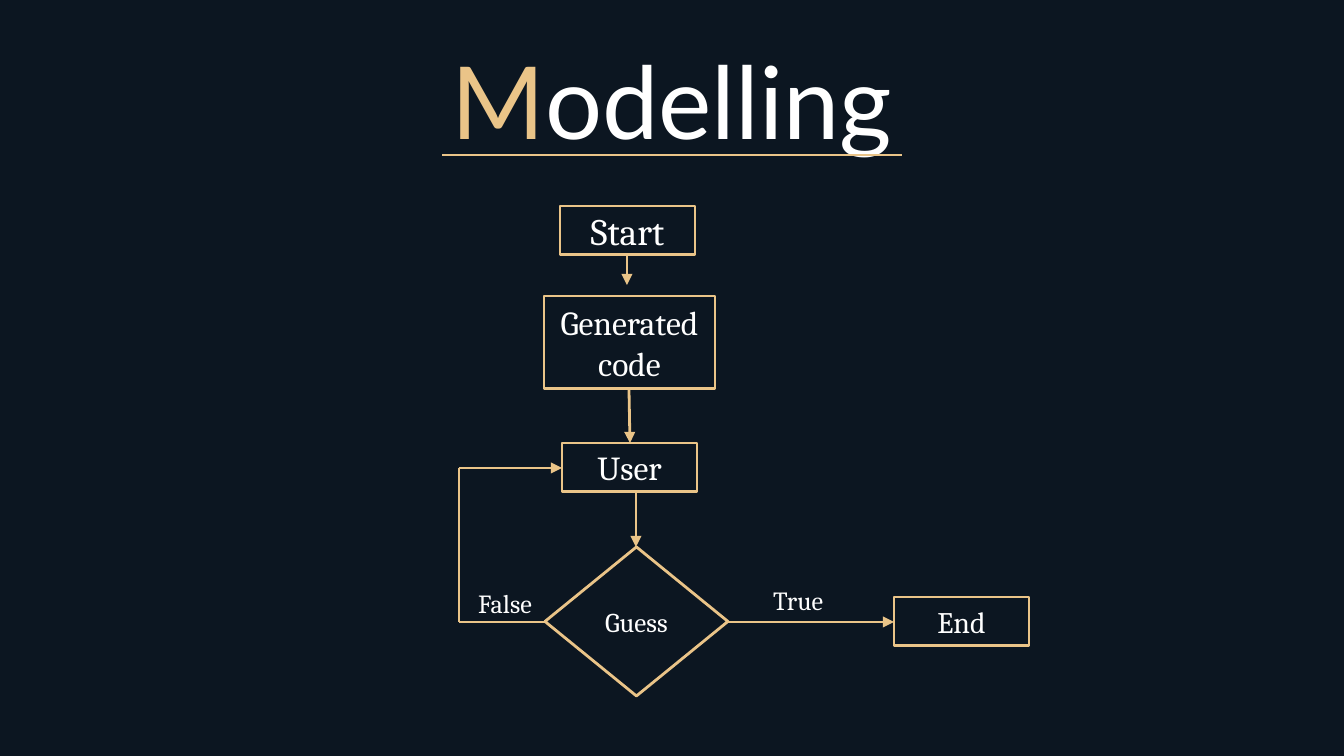
from dataclasses import dataclass

from lxml import etree
from pptx import Presentation
from pptx.dml.color import RGBColor
from pptx.enum.shapes import MSO_CONNECTOR, MSO_SHAPE
from pptx.enum.text import MSO_ANCHOR, MSO_AUTO_SIZE, PP_ALIGN
from pptx.oxml.ns import qn
from pptx.util import Emu, Pt

RECT, DIAMOND = MSO_SHAPE.RECTANGLE, MSO_SHAPE.DIAMOND
STRAIGHT = MSO_CONNECTOR.STRAIGHT
MIDDLE, CENTER = MSO_ANCHOR.MIDDLE, PP_ALIGN.CENTER
FIXED, GROW = MSO_AUTO_SIZE.NONE, MSO_AUTO_SIZE.SHAPE_TO_FIT_TEXT
TITLE_ONLY = 5
SCALE = 914400 / 134.4


@dataclass(frozen=True)
class Theme:
    background: RGBColor = RGBColor(0x0C, 0x16, 0x21)
    accent: RGBColor = RGBColor(0xEA, 0xC4, 0x88)
    text: RGBColor = RGBColor(0xFF, 0xFF, 0xFF)
    title_font: str = "Lato"
    body_font: str = "Cambria"
    title: float = 54
    large: float = 20
    medium: float = 18
    small: float = 16
    decision: float = 14.5
    label: float = 14
    stroke: float = 1.5
    thin: float = 1


def px(*lengths):
    return [Emu(round(n * SCALE)) for n in lengths]


class Deck:
    def __init__(self, prs, theme):
        self.theme = theme
        self.s = prs.slides.add_slide(prs.slide_layouts[TITLE_ONLY])
        self.s.background.fill.solid()
        self.s.background.fill.fore_color.rgb = theme.background

    def font(self, p, name, size):
        p.font.name = name
        p.font.size = Pt(size)
        p.font.color.rgb = self.theme.text

    def title(self, initial, rest, box):
        sp = self.s.shapes.title
        sp.left, sp.top, sp.width, sp.height = px(*box)
        tf = sp.text_frame
        tf.auto_size = FIXED
        tf.vertical_anchor = MIDDLE
        p = tf.paragraphs[0]
        p.alignment = CENTER
        self.font(p, self.theme.title_font, self.theme.title)
        r = p.add_run()
        r.text = initial
        r.font.color.rgb = self.theme.accent
        p.add_run().text = rest

    def node(self, text, box, size, kind=RECT):
        sp = self.s.shapes.add_shape(kind, *px(*box))
        sp.shadow.inherit = False
        sp.fill.background()
        sp.line.color.rgb = self.theme.accent
        sp.line.width = Pt(self.theme.stroke)
        tf = sp.text_frame
        tf.word_wrap = True
        tf.vertical_anchor = MIDDLE
        p = tf.paragraphs[0]
        p.text = text
        p.alignment = CENTER
        self.font(p, self.theme.body_font, size)

    def label(self, text, box):
        tf = self.s.shapes.add_textbox(*px(*box)).text_frame
        tf.word_wrap = False
        tf.auto_size = GROW
        p = tf.paragraphs[0]
        p.text = text
        self.font(p, self.theme.body_font, self.theme.label)

    def line(self, start, end, arrow=False, width=None):
        cn = self.s.shapes.add_connector(STRAIGHT, *px(*start, *end))
        cn.line.color.rgb = self.theme.accent
        cn.line.width = Pt(width or self.theme.stroke)
        if arrow:
            ln = cn.line._get_or_add_ln()
            etree.SubElement(ln, qn("a:tailEnd"), type="triangle")
        etree.SubElement(cn._element.spPr, qn("a:effectLst"))


prs = Presentation()
prs.slide_width, prs.slide_height = px(1344, 756)
theme = Theme()
deck = Deck(prs, theme)

deck.title("M", "odelling", (105, 64, 1134, 70))
deck.line((902, 155), (442, 155))

STEP = (135, 49)
for text, box, size, kind in (
    ("Start", (560, 206, *STEP), theme.large, RECT),
    ("Generated code", (544, 296, 171, 93), theme.medium, RECT),
    ("User", (562, 443, *STEP), theme.medium, RECT),
    ("Guess", (545, 547, 183, 149), theme.decision, DIAMOND),
    ("End", (894, 597, *STEP), theme.small, RECT),
):
    deck.node(text, box, size, kind)

for start, end in (
    ((627, 255), (627, 285)),
    ((629, 389), (630, 443)),
    ((636, 492), (636, 547)),
    ((728, 622), (894, 622)),
):
    deck.line(start, end, arrow=True)

loop_bottom, loop_top = (459, 622), (459, 468)
deck.line((545, 622), loop_bottom)
deck.line(loop_bottom, loop_top, width=theme.thin)
deck.line(loop_top, (562, 468), arrow=True)

deck.label("True", (760, 578, 81, 45))
deck.label("False", (465, 581, 82, 45))

prs.save("out.pptx")
